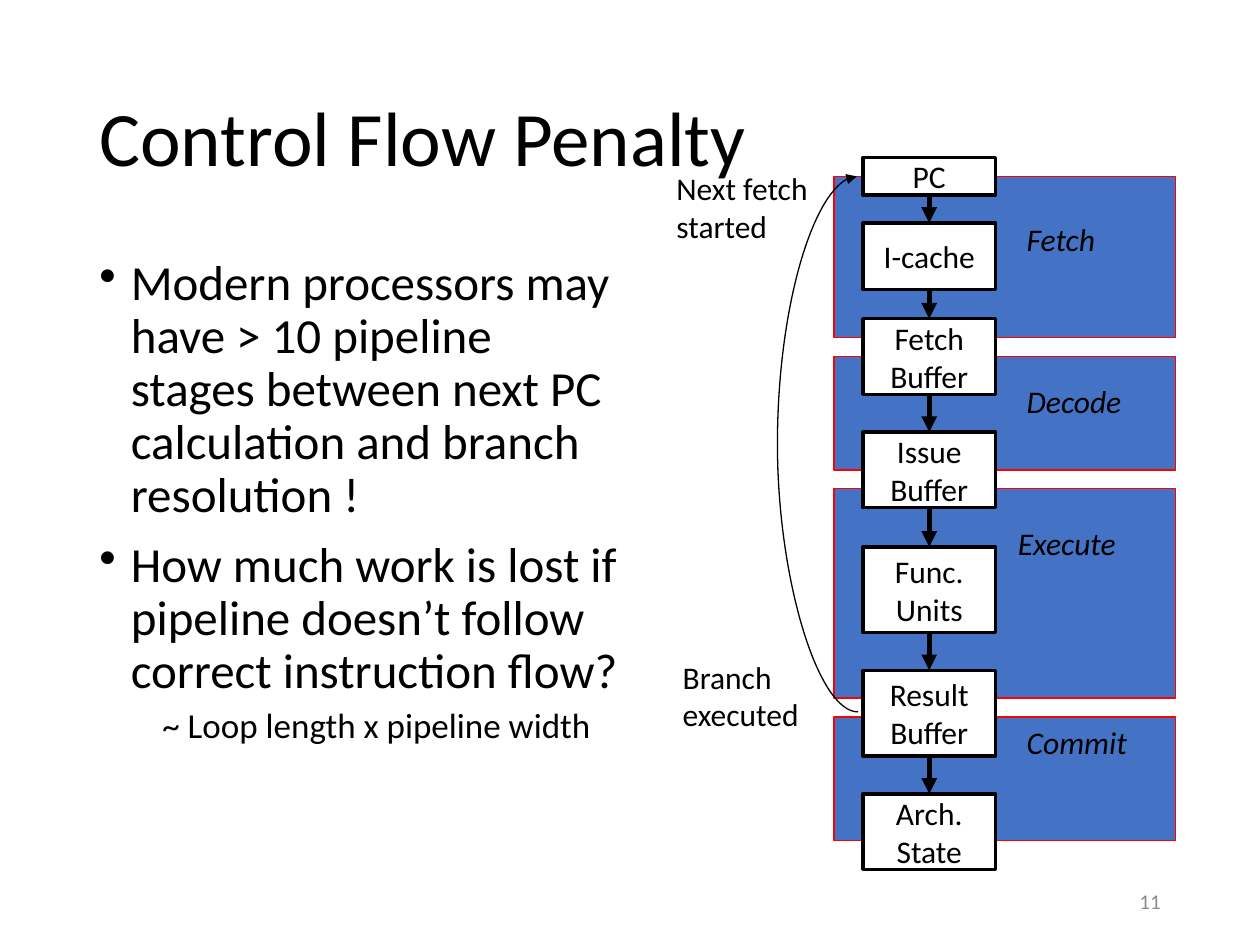
import pptx
import pptx.util
import pptx.dml.color
import pptx.enum.shapes
import pptx.enum.text
import pptx.oxml
import pptx.oxml.ns
from pptx.util import Inches

BLACK = pptx.dml.color.RGBColor(0x00, 0x00, 0x00)
WHITE = pptx.dml.color.RGBColor(0xFF, 0xFF, 0xFF)
BLUE = pptx.dml.color.RGBColor(0x44, 0x72, 0xC4)
RED = pptx.dml.color.RGBColor(0xFF, 0x00, 0x00)
GRAY = pptx.dml.color.RGBColor(0x8C, 0x8C, 0x8C)
ANCHOR = pptx.enum.text.MSO_ANCHOR
ALIGN = pptx.enum.text.PP_ALIGN
RECTANGLE = pptx.enum.shapes.MSO_SHAPE.RECTANGLE
CONNECTOR = pptx.enum.shapes.MSO_CONNECTOR

presentation = pptx.Presentation()
presentation.slide_width = Inches(10)
presentation.slide_height = Inches(7.5)
slide = presentation.slides.add_slide(presentation.slide_layouts[6])
shapes = slide.shapes


def add_text(left, top, width, height, text, size, color=BLACK, anchor=ANCHOR.TOP):
    frame = shapes.add_textbox(
        Inches(left), Inches(top), Inches(width), Inches(height)).text_frame
    frame.word_wrap = True
    frame.vertical_anchor = anchor
    frame.text = text
    for paragraph in frame.paragraphs:
        paragraph.font.name = "Calibri"
        paragraph.font.size = pptx.util.Pt(size)
        paragraph.font.color.rgb = color
    return frame


def style_connector(connector, width):
    connector.line.color.rgb = BLACK
    connector.line.width = pptx.util.Pt(width)
    line = connector.line._get_or_add_ln()
    pptx.oxml.ns  # namespaces for the arrowhead and the empty effect list
    tail = line.makeelement(pptx.oxml.ns.qn("a:tailEnd"), {"type": "triangle"})
    line.append(tail)
    properties = connector._element.spPr
    properties.append(properties.makeelement(pptx.oxml.ns.qn("a:effectLst"), {}))


# Title
title = add_text(0.69, 0.4, 8.62, 1.45, "Control Flow Penalty", 44, anchor=ANCHOR.MIDDLE)
title.paragraphs[0].line_spacing = 0.9

# Bullets: size, space before, left margin, first-line indent
body = add_text(
    0.69, 2, 4.31, 4.76,
    "Modern processors may have > 10 pipeline stages between next PC "
    "calculation and branch resolution !\n"
    "How much work is lost if pipeline doesn’t follow correct instruction flow?\n"
    "~ Loop length x pipeline width", 28)
body_styles = [(28, 0, 0.25, -0.25), (28, 10, 0.25, -0.25), (20, 5, 0.5, 0)]
for paragraph, (size, before, margin, indent) in zip(body.paragraphs, body_styles):
    properties = paragraph._p.get_or_add_pPr()
    properties.set("marL", str(Inches(margin)))
    properties.set("indent", str(Inches(indent)))
    paragraph.line_spacing = 0.9
    paragraph.space_before = pptx.util.Pt(before)
    paragraph.font.size = pptx.util.Pt(size)
    if indent:
        bullet = properties.makeelement(pptx.oxml.ns.qn("a:buChar"), {"char": "•"})
        properties.find(pptx.oxml.ns.qn("a:defRPr")).addprevious(bullet)
body.paragraphs[2].level = 1

# Pipeline stages: name, top, height, label left, label top, label width
stages = [
    ("Fetch", 1.4, 1.28, 8.05, 1.7, 0.99),
    ("Decode", 2.83, 0.9, 8.05, 2.98, 1.17),
    ("Execute", 3.88, 1.66, 7.98, 4.11, 1.2),
    ("Commit", 5.69, 0.98, 8.05, 5.69, 1.19),
]
for name, top, height, label_left, label_top, label_width in stages:
    band = shapes.add_shape(
        RECTANGLE, Inches(6.62), Inches(top), Inches(2.71), Inches(height))
    band.shadow.inherit = False
    band.fill.solid()
    band.fill.fore_color.rgb = BLUE
    band.line.color.rgb = RED
    band.line.width = pptx.util.Pt(0.75)
    label = add_text(label_left, label_top, label_width, 0.4, name, 18)
    label.paragraphs[0].font.italic = True

# Pipeline units, each joined to the one above it
units = [
    ("PC", 1.25, 0.3),
    ("I-cache", 1.77, 0.53),
    ("Fetch\nBuffer", 2.53, 0.6),
    ("Issue\nBuffer", 3.43, 0.6),
    ("Func.\nUnits", 4.34, 0.68),
    ("Result\nBuffer", 5.32, 0.68),
    ("Arch.\nState", 6.3, 0.6),
]
previous = None
for name, top, height in units:
    unit = shapes.add_shape(
        RECTANGLE, Inches(6.85), Inches(top), Inches(1.05), Inches(height))
    unit.shadow.inherit = False
    unit.fill.solid()
    unit.fill.fore_color.rgb = WHITE
    unit.line.color.rgb = BLACK
    unit.line.width = pptx.util.Pt(2)
    frame = unit.text_frame
    frame.word_wrap = False
    frame.vertical_anchor = ANCHOR.MIDDLE
    frame.text = name
    for paragraph in frame.paragraphs:
        paragraph.alignment = ALIGN.CENTER
        paragraph.font.name = "Calibri"
        paragraph.font.size = pptx.util.Pt(18)
        paragraph.font.color.rgb = BLACK
    if previous is not None:
        arrow = shapes.add_connector(CONNECTOR.STRAIGHT, 0, 0, 0, 0)
        arrow.begin_connect(previous, 2)
        arrow.end_connect(unit, 0)
        style_connector(arrow, 3)
    previous = unit

# Loop from branch execution back to the next fetch
add_text(5.32, 5.17, 1.34, 0.7, "Branch\vexecuted", 18)
add_text(5.27, 1.29, 1.6, 0.7, "Next fetch started", 18)
loop = shapes.add_connector(
    CONNECTOR.CURVE, Inches(6.8), Inches(1.4), Inches(6.81), Inches(5.65))
loop._element.spPr.find(pptx.oxml.ns.qn("a:xfrm")).set("rot", "10800000")
adjustments = loop._element.spPr.find(pptx.oxml.ns.qn("a:prstGeom")).get_or_add_avLst()
adjustments.append(adjustments.makeelement(
    pptx.oxml.ns.qn("a:gd"), {"name": "adj1", "fmla": "val 6500000"}))
style_connector(loop, 0.75)

# Slide number
number = add_text(7.06, 6.95, 2.25, 0.4, "11", 12, GRAY, ANCHOR.MIDDLE)
number.paragraphs[0].alignment = ALIGN.RIGHT

presentation.save("out.pptx")
